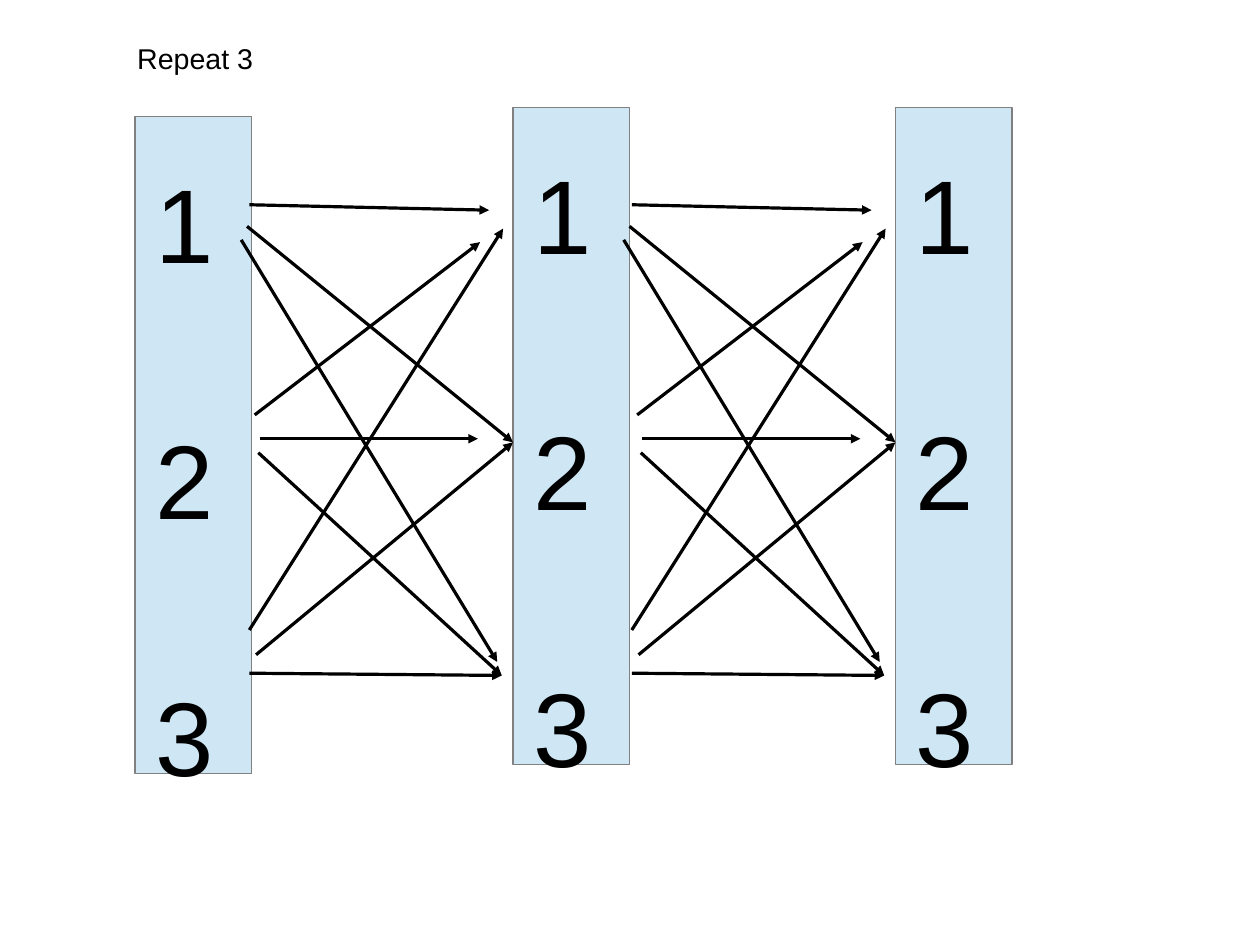
from pptx import Presentation
from pptx.dml.color import RGBColor
from pptx.enum import shapes, text
from pptx.oxml.ns import qn
from pptx.util import Cm, Pt
from lxml import etree


def rgb(code):
    return RGBColor.from_string(code)


def label(lines, left, top, width, height, size, inset, gap):
    """Text box with one paragraph per line, set apart by gap points."""
    box = slide.shapes.add_textbox(Cm(left), Cm(top), Cm(width), Cm(height))
    frame = box.text_frame
    frame.word_wrap = True
    frame.vertical_anchor = text.MSO_ANCHOR.TOP
    frame.margin_top = Cm(inset)
    for i, line in enumerate(lines):
        para = frame.paragraphs[0] if i == 0 else frame.add_paragraph()
        if i:
            para.space_before = Pt(gap)
        run = para.add_run()
        run.text = line
        run.font.size = Pt(size)
        run.font.name = "Arial"
        run.font.color.rgb = rgb("000000")


deck = Presentation()
deck.slide_width, deck.slide_height = Cm(28), Cm(21)
slide = deck.slides.add_slide(deck.slide_layouts[6])

# Columns of nodes: left, top
for left, top in [(3, 2.59), (11.4, 2.39), (19.9, 2.39)]:
    bar = slide.shapes.add_shape(shapes.MSO_SHAPE.RECTANGLE,
                                 Cm(left), Cm(top), Cm(2.59), Cm(14.6))
    bar.shadow.inherit = False
    bar.fill.solid()
    bar.fill.fore_color.rgb = rgb("CFE7F5")
    bar.line.color.rgb = rgb("808080")
    bar.line.width = Pt(0)
    label("123", left + 0.2, top + 0.61, 4.39, 13.26, 66, 0.33, 82.3)

# Arrows between the first two columns: from x, y to x, y
arrows = [
    (5.54, 4.55, 10.87, 4.67),
    (5.49, 5.03, 11.4, 9.83),
    (5.36, 5.33, 11.05, 14.71),
    (5.54, 14.96, 11.15, 15.01),
    (5.69, 14.55, 11.4, 9.83),
    (5.54, 14, 11.18, 5.08),
    (5.66, 9.22, 10.67, 5.38),
    (5.77, 9.75, 10.62, 9.75),
    (5.74, 10.06, 11.15, 15.01),
]
for shift in (0, 8.5):
    for x1, y1, x2, y2 in arrows:
        link = slide.shapes.add_connector(
            shapes.MSO_CONNECTOR.STRAIGHT,
            Cm(x1 + shift), Cm(y1), Cm(x2 + shift), Cm(y2))
        link.line.color.rgb = rgb("000000")
        link.line.width = Pt(0)
        etree.SubElement(link.line._get_or_add_ln(), qn("a:tailEnd"), type="triangle")
        etree.SubElement(link._element.spPr, qn("a:effectLst"))

label(["Repeat 3"], 2.8, 0.79, 11, 0.97, 18, 0.13, 0)

deck.save("out.pptx")
